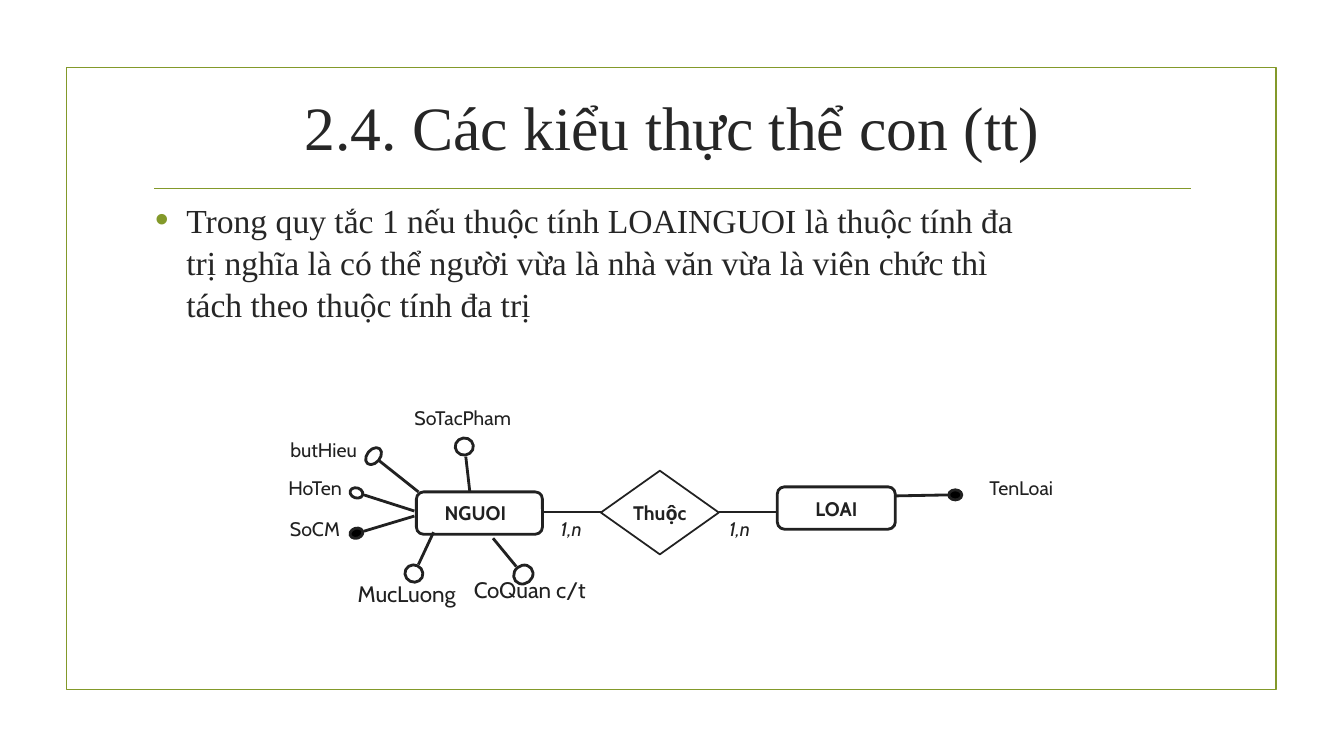
"""Builds the slide on sub-entity types with its entity-relationship diagram."""
from lxml import etree
from pptx import Presentation, util as u
from pptx.dml import color
from pptx.enum import shapes, text
from pptx.oxml import ns

PX = u.Inches(1) // 100
GREEN, INK, BODY, WHITE, BLACK = "83992A", "212121", "262626", "FFFFFF", "000000"
SHAPE = shapes.MSO_SHAPE

deck = Presentation()
deck.slide_width, deck.slide_height = 1333 * PX, 750 * PX
slide = deck.slides.add_slide(deck.slide_layouts[5])


def paint(target, hex_color):
    """Gives a fill, line or font its colour."""
    if hasattr(target, "solid"):
        target.solid()
        target = target.fore_color
    else:
        target = target.color
    target.rgb = color.RGBColor.from_string(hex_color)


def draw(kind, box, fill, line, width, rotation=0):
    """Adds an outlined preset shape, or a straight line when kind is None."""
    if kind is None:
        part = slide.shapes.add_connector(
            shapes.MSO_CONNECTOR.STRAIGHT, *[n * PX for n in box])
        etree.SubElement(part._element.spPr, ns.qn("a:effectLst"))
    else:
        part = slide.shapes.add_shape(kind, *[n * PX for n in box])
        part.shadow.inherit = False
        part.rotation = rotation
        if fill:
            paint(part.fill, fill)
        else:
            part.fill.background()
    paint(part.line, line)
    part.line.width = u.Pt(width)
    return part


draw(SHAPE.RECTANGLE, (66, 67, 1200, 617), None, GREEN, 1.25)
draw(None, (153, 187, 1181, 187), None, GREEN, 1.25)

title = slide.shapes.title
title.left, title.top, title.width, title.height = [n * PX for n in (142, 68, 1050, 114)]
title.text_frame.text = "2.4. Các kiểu thực thể con (tt)"
title.text_frame.vertical_anchor = text.MSO_ANCHOR.MIDDLE

rule = slide.shapes.add_textbox(*[n * PX for n in (144, 191, 900, 558)])
rule.text_frame.word_wrap = True
rule.text_frame.text = (
    "Trong quy tắc 1 nếu thuộc tính LOAINGUOI là thuộc tính đa trị nghĩa là có thể "
    "người vừa là nhà văn vừa là viên chức thì tách theo thuộc tính đa trị")
bullet = rule.text_frame.paragraphs[0]
bullet.line_spacing = 1.05
bullet.space_after = u.Pt(6)
props = bullet._p.get_or_add_pPr()
props.set("marL", str(31 * PX))
props.set("indent", str(-31 * PX))
bullet_color = etree.SubElement(props, ns.qn("a:buClr"))
etree.SubElement(bullet_color, ns.qn("a:srgbClr"), val=GREEN)
etree.SubElement(props, ns.qn("a:buSzPct"), val="115000")
etree.SubElement(props, ns.qn("a:buFont"), typeface="Arial")
etree.SubElement(props, ns.qn("a:buChar"), char="•")

title.text_frame.paragraphs[0].alignment = text.PP_ALIGN.CENTER
for heading, size in ((title, 44), (rule, 24)):
    font = heading.text_frame.paragraphs[0].runs[0].font
    font.name, font.size = "Times New Roman", u.Pt(size)
    paint(font, BODY)

for entity in ((771, 483, 117, 42), (413, 488, 125, 42)):
    draw(SHAPE.ROUNDED_RECTANGLE, entity, WHITE, INK, 2).adjustments[0] = 0.167
draw(SHAPE.DIAMOND, (596, 467, 117, 83), WHITE, INK, 1.25)
for link_start in (538, 713):
    draw(None, (link_start, 508, link_start + 58, 508), None, INK, 2)

attributes = [
    ((411, 507, 361, 491), (347, 484, 13, 10), 197.7, WHITE),
    ((411, 512, 361, 527), (347, 524, 13, 10), 163.5, BLACK),
    ((888, 492, 940, 491), (941, 486, 13, 10), 0, BLACK),
    ((415, 488, 376, 457), (364, 443, 13, 19), 219.4, WHITE),
    ((489, 534, 512, 562), (510, 560, 18, 20), 50.9, None),
    ((430, 528, 415, 560), (402, 560, 17, 18), 115.4, None),
    ((466, 488, 462, 453), (452, 434, 17, 18), 263, None),
]
for stem, dot, rotation, fill in attributes:
    draw(None, stem, None, INK, 2)
    draw(SHAPE.OVAL, dot, fill, INK, 2, rotation)

labels = [
    ("LOAI", 771, 488, 117, 14, "bold"),
    ("NGUOI", 413, 492, 117, 14, "bold"),
    ("Thuộc", 596, 492, 117, 14, "bold"),
    ("1,n", 529, 508, 75, 14, "italic"),
    ("1,n", 696, 508, 75, 14, "italic"),
    ("HoTen", 271, 467, 83, 14, None),
    ("SoCM", 271, 508, 83, 14, None),
    ("TenLoai", 938, 467, 150, 14, None),
    ("butHieu", 271, 430, 100, 14, None),
    ("SoTacPham", 388, 398, 142, 14, None),
    ("CoQuan c/t", 439, 572, 173, 16, None),
    ("MucLuong", 317, 576, 173, 16, None),
]
for wording, left, top, width, size, style in labels:
    label = slide.shapes.add_textbox(left * PX, top * PX, width * PX, 34 * PX)
    frame = label.text_frame
    frame.word_wrap = True
    frame.text = wording
    if size == 16:
        frame.margin_left = frame.margin_right = frame.margin_top = frame.margin_bottom = 0
    else:
        frame.auto_size = text.MSO_AUTO_SIZE.SHAPE_TO_FIT_TEXT
    frame.paragraphs[0].alignment = text.PP_ALIGN.CENTER
    font = frame.paragraphs[0].runs[0].font
    font.name, font.size = "Cabin", u.Pt(size)
    font.bold, font.italic = style == "bold", style == "italic"
    paint(font, INK)

deck.save("out.pptx")
